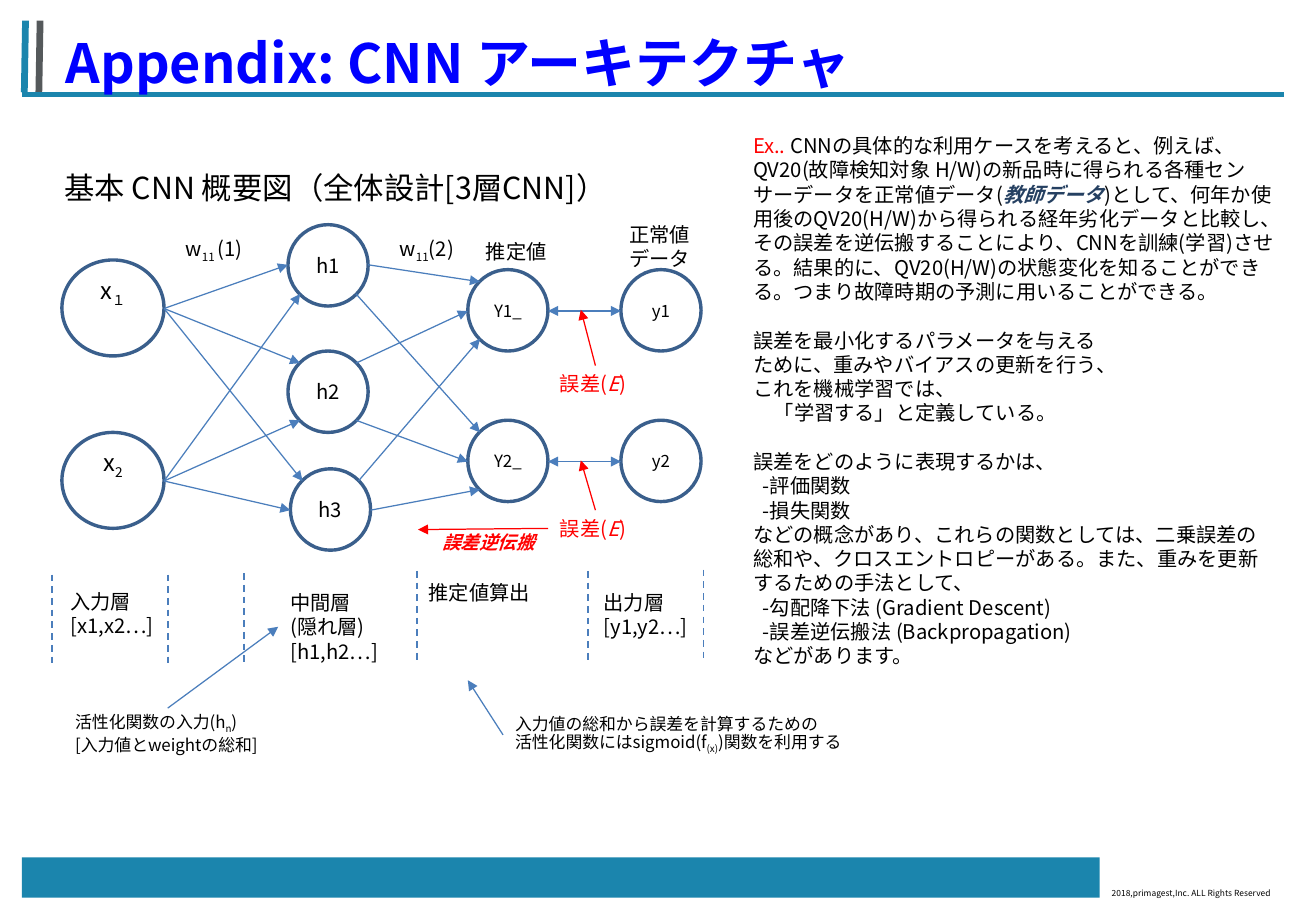
from math import sqrt
from lxml.etree import SubElement
from pptx import Presentation
from pptx.dml.color import RGBColor
from pptx.enum.dml import MSO_LINE
from pptx.enum.shapes import MSO_CONNECTOR, MSO_SHAPE
from pptx.enum.text import MSO_ANCHOR, MSO_AUTO_SIZE, PP_ALIGN
from pptx.oxml.ns import qn
from pptx.util import Pt

PX = 9144  # 100 px to the inch
FONT = "Noto Sans CJK JP"
COLORS = {
    "band": "1B85AD", "gray": "55595B", "title": "0000FF", "ring": "3A5F8C",
    "link": "4B7EBC", "red": "FF0000", "navy": "254061", "black": "000000",
}
SUB = {"sub": True}


def rgb(name):
    return RGBColor.from_string(COLORS[name])


def write(frame, paras, size=12, color="black", bold=False, align=PP_ALIGN.LEFT,
          anchor=MSO_ANCHOR.TOP):
    """Fill a frame; a paragraph is a string, a list of runs, or a dict with
    runs, indent (px) and before (pt); a run is a string or (text, format)."""
    frame.word_wrap = True
    frame.auto_size = MSO_AUTO_SIZE.NONE
    frame.vertical_anchor = anchor
    for i, item in enumerate(paras):
        if not isinstance(item, dict):
            item = {"runs": item}
        para = frame.paragraphs[0] if i == 0 else frame.add_paragraph()
        para.alignment = align
        para.line_spacing = Pt(size * 1.2)
        if "before" in item:
            para.space_before = Pt(item["before"])
        if "indent" in item:
            para._p.get_or_add_pPr().set("marL", str(item["indent"] * PX))
        runs = item["runs"]
        for part in [runs] if isinstance(runs, str) else runs:
            words, fmt = (part, {}) if isinstance(part, str) else part
            run = para.add_run()
            run.text = words
            font = run.font
            font.name, font.size = FONT, Pt(size)
            font.bold = fmt.get("bold", bold)
            font.italic = fmt.get("italic", False)
            font.color.rgb = rgb(fmt.get("color", color))
            props = run._r.get_or_add_rPr()
            SubElement(props, qn("a:ea")).set("typeface", FONT)
            if fmt.get("sub"):
                props.set("baseline", "-25000")


class Page:
    """Draws styled elements on one slide."""

    def __init__(self, deck):
        self.slide = deck.slides.add_slide(deck.slide_layouts[5])
        self.shapes = self.slide.shapes

    def title(self, words, x, y, w, h):
        box = self.shapes.title
        box.left, box.top, box.width, box.height = [n * PX for n in (x, y, w, h)]
        write(box.text_frame, [words], size=32, color="title", bold=True)
        box._element.getparent().append(box._element)  # above the rules

    def text(self, x, y, w, h, *paras, **fmt):
        box = self.shapes.add_textbox(x * PX, y * PX, w * PX, h * PX)
        write(box.text_frame, paras, **fmt)

    def shape(self, kind, x, y, w, h):
        item = self.shapes.add_shape(kind, x * PX, y * PX, w * PX, h * PX)
        item.shadow.inherit = False
        return item

    def bar(self, x, y, w, h):
        item = self.shape(MSO_SHAPE.RECTANGLE, x, y, w, h)
        item.fill.solid()
        item.fill.fore_color.rgb = rgb("band")
        item.line.fill.background()

    def node(self, box, runs, size, lift=0):
        """Draw a ring; lift (px) widens the bottom inset to raise its label."""
        item = self.shape(MSO_SHAPE.OVAL, *box)
        item.fill.background()
        item.line.color.rgb = rgb("ring")
        item.line.width = Pt(2)
        frame = item.text_frame
        frame.margin_left = frame.margin_right = 0
        frame.margin_bottom = (5 + lift) * PX
        write(frame, [runs], size=size, align=PP_ALIGN.CENTER,
              anchor=MSO_ANCHOR.MIDDLE)

    def line(self, start, end, color="link", width=0.75, dash=False, ends=()):
        item = self.shapes.add_connector(
            MSO_CONNECTOR.STRAIGHT, *[n * PX for n in (*start, *end)])
        item.line.color.rgb = rgb(color)
        item.line.width = Pt(width)
        if dash:
            item.line.dash_style = MSO_LINE.DASH
        stroke = item.line._get_or_add_ln()
        for end_name in ends:
            SubElement(stroke, qn("a:" + end_name)).set("type", "triangle")
        SubElement(item._element.spPr, qn("a:effectLst"))

    def arrow(self, start, end, color="link", both=False):
        ends = ("headEnd", "tailEnd") if both else ("tailEnd",)
        self.line(start, end, color, ends=ends)


def port(box, side):
    """Point on a ring's edge in a compass direction such as E or NW."""
    x, y, w, h = box
    dx = ("E" in side) - ("W" in side)
    dy = ("S" in side) - ("N" in side)
    reach = 2 * sqrt(dx * dx + dy * dy)
    return round(x + w / 2 + dx * w / reach), round(y + h / 2 + dy * h / reach)


NODES = {
    "x1": (51, 214, 84, 79), "x2": (51, 356, 84, 79),
    "h1": (237, 185, 66, 67), "h2": (237, 289, 66, 67), "h3": (239, 386, 66, 67),
    "Y1_": (385, 222, 66, 67), "Y2_": (385, 346, 66, 67),
    "y1": (511, 222, 66, 67), "y2": (511, 346, 66, 67),
}
LINKS = """x1 E h1 W, x1 E h2 NW, x1 E h3 NW, x2 E h1 SW, x2 E h2 SW, x2 E h3 W,
h1 E Y1_ NW, h1 SE Y2_ NW, h2 NE Y1_ W, h2 SE Y2_ W, h3 NE Y1_ SW, h3 E Y2_ SW,
Y1_ E y1 W, Y2_ E y2 W"""
SPLITS = {43: 473, 138: 473, 201: 472, 343: 470, 484: 470, 579: 469}


def draw_frame(page):
    page.bar(18, 706, 887, 33)
    page.text(905, 726, 162, 19, "2018,primagest,Inc. ALL Rights Reserved",
              size=5, anchor=MSO_ANCHOR.MIDDLE)
    page.line((20, 76), (21, 17), "band", 4)
    page.line((32, 76), (33, 17), "gray", 4)
    page.line((18, 78), (1057, 78), "band", 2.75)
    page.title("Appendix: CNN アーキテクチャ", 44, 19, 709, 64)


def draw_net(page):
    page.text(43, 134, 481, 40, "基本 CNN 概要図（全体設計[3層CNN]）", size=18)
    page.node(NODES["x1"], ["x", ("１", SUB)], 14, lift=23)
    page.node(NODES["x2"], ["x", ("2", SUB)], 14, lift=23)
    for name in list(NODES)[2:]:
        page.node(NODES[name], name, 12 if name[0] == "h" else 10)
    for link in LINKS.split(","):
        a, out, b, into = link.split()
        page.arrow(port(NODES[a], out), port(NODES[b], into), both=b[0] == "y")
    page.text(143, 192, 73, 30, ["w", ("11 ", SUB), "(1)"])
    page.text(319, 192, 68, 30, ["w", ("11", SUB), "(2)"])
    page.text(390, 192, 71, 30, "推定値")
    page.text(508, 178, 71, 50, "正常値", "データ")
    for top, tip in ((301, 255), (420, 379)):
        page.text(451, top, 77, 30, ["誤差(", ("E", {"italic": True}), ")"],
                  color="red")
        page.arrow((490, top), (478, tip), "red")
    page.arrow((451, 435), (344, 436), "red")
    page.text(354, 432, 97, 29, [("誤差逆伝搬", {"italic": True})],
              size=11, color="red", bold=True)


def draw_layers(page):
    for x, top in SPLITS.items():
        page.line((x, top), (x, top + 75), width=1, dash=True)
    page.text(48, 480, 89, 50, "入力層", "[x1,x2…]")
    page.text(229, 481, 93, 71, "中間層", "(隠れ層)", "[h1,h2…]")
    page.text(343, 473, 104, 30, "推定値算出")
    page.text(487, 481, 89, 50, "出力層", "[y1,y2…]")
    page.text(52, 583, 172, 44, ["活性化関数の入力(h", ("n", SUB), ")"],
              "[入力値とweightの総和]", size=10)
    page.text(414, 583, 295, 44, "入力値の総和から誤差を計算するための",
              ["活性化関数にはsigmoid(f", ("(x)", SUB), ")関数を利用する"], size=10)
    page.arrow((414, 605), (385, 560))
    page.arrow((138, 583), (229, 516))


def draw_notes(page):
    def item(words, indent=8):
        return {"runs": words, "indent": indent}

    def lead(words):
        return {"runs": words, "before": 14.4}

    page.text(
        610, 105, 451, 454,
        [("Ex..", {"color": "red"}),
         " CNNの具体的な利用ケースを考えると、例えば、QV20(故障検知対象 H/W)の新品時に"
         "得られる各種センサーデータを正常値データ(",
         ("教師データ", {"color": "navy", "bold": True, "italic": True}),
         ")として、何年か使用後のQV20(H/W)から得られる経年劣化データと比較し、その誤差を"
         "逆伝搬することにより、CNNを訓練(学習)させる。結果的に、QV20(H/W)の状態変化を"
         "知ることができる。つまり故障時期の予測に用いることができる。"],
        lead("誤差を最小化するパラメータを与える"),
        "ために、重みやバイアスの更新を行う、",
        "これを機械学習では、",
        item("「学習する」と定義している。", 17),
        lead("誤差をどのように表現するかは、"),
        item("-評価関数"),
        item("-損失関数"),
        "などの概念があり、これらの関数としては、二乗誤差の総和や、クロスエントロピーがある。"
        "また、重みを更新するための手法として、",
        item("-勾配降下法 (Gradient Descent)"),
        item("-誤差逆伝搬法 (Backpropagation)"),
        "などがあります。")


def main():
    deck = Presentation()
    deck.slide_width, deck.slide_height = 1083 * PX, 750 * PX
    page = Page(deck)
    for draw in (draw_frame, draw_net, draw_layers, draw_notes):
        draw(page)
    deck.save("out.pptx")


if __name__ == "__main__":
    main()
